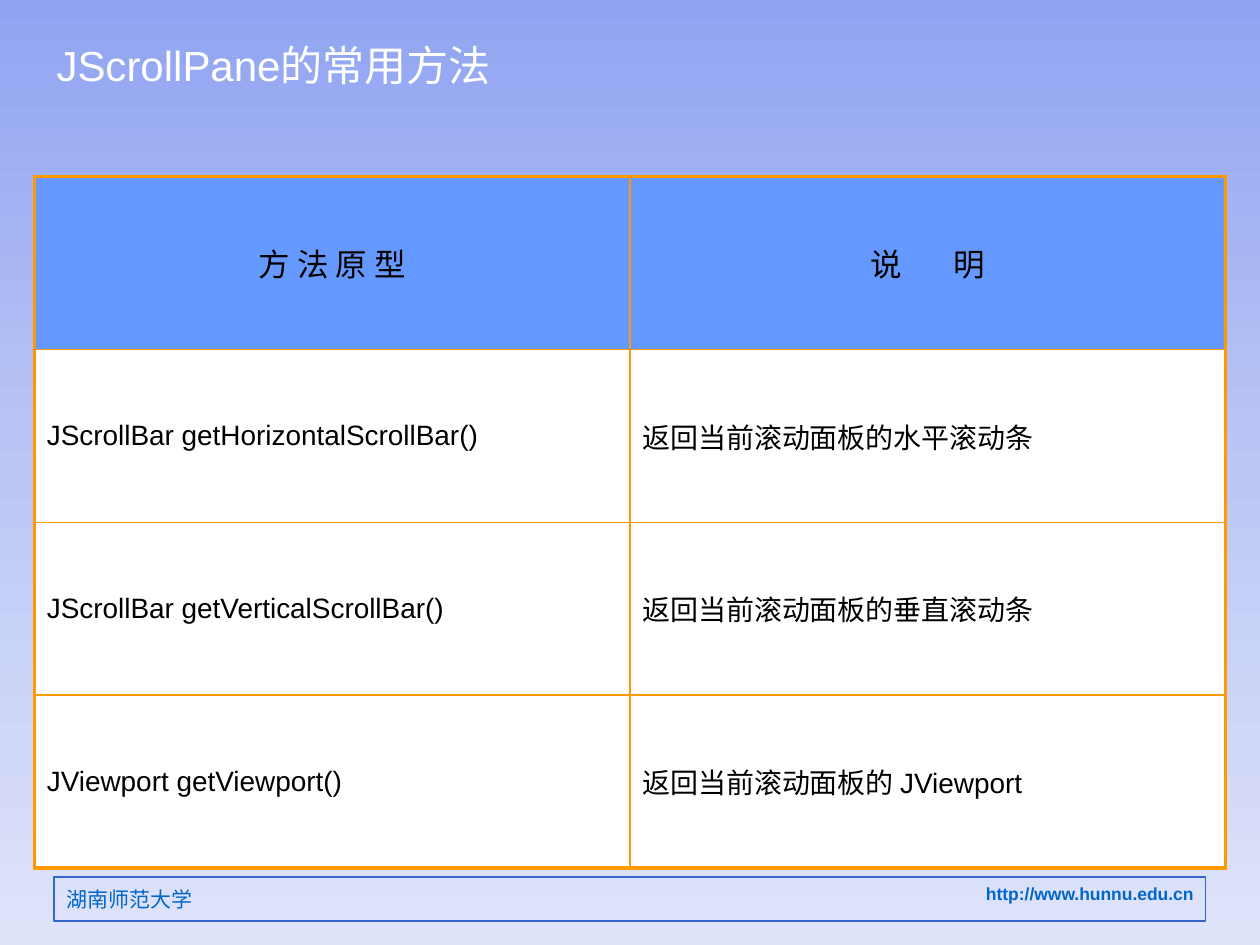
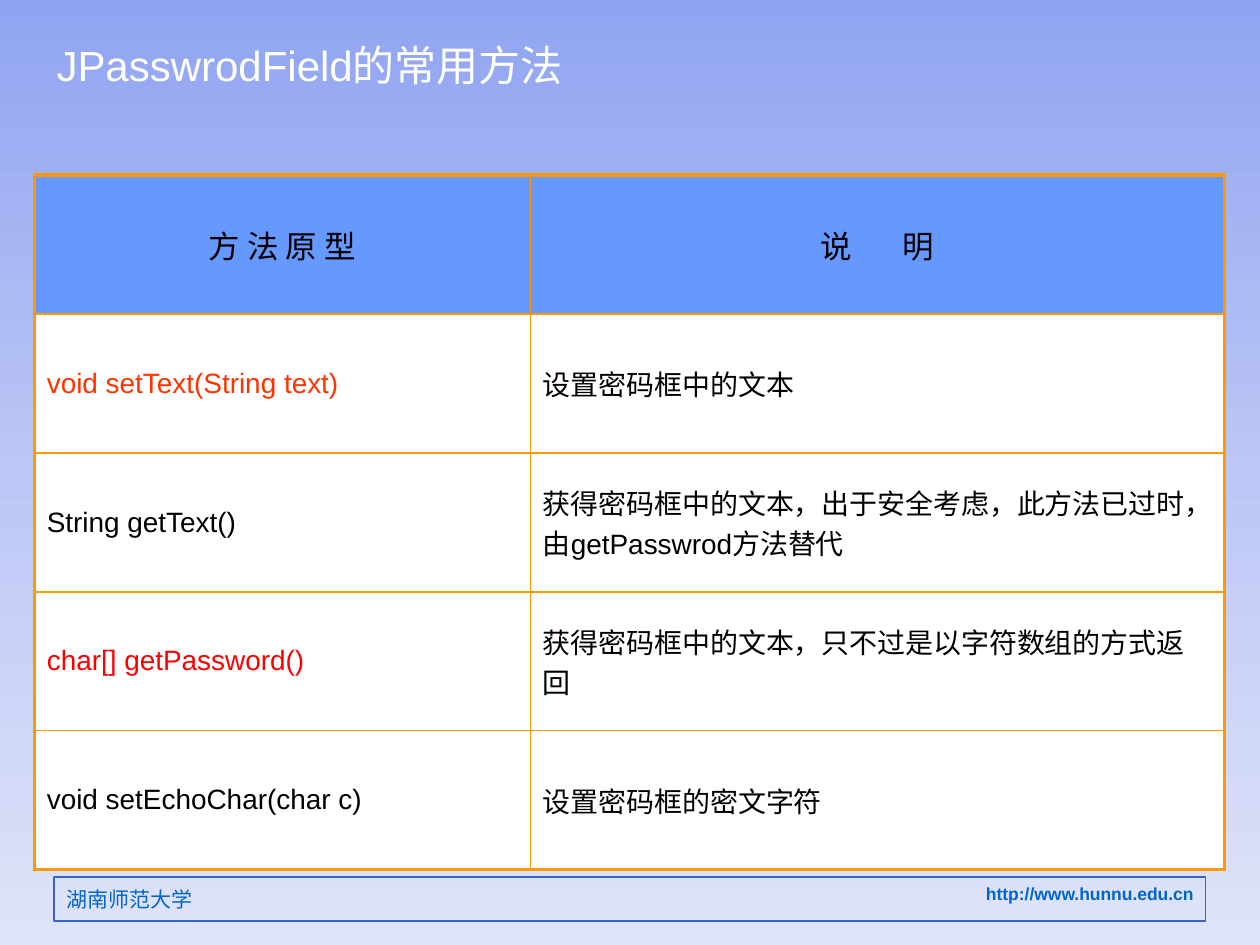
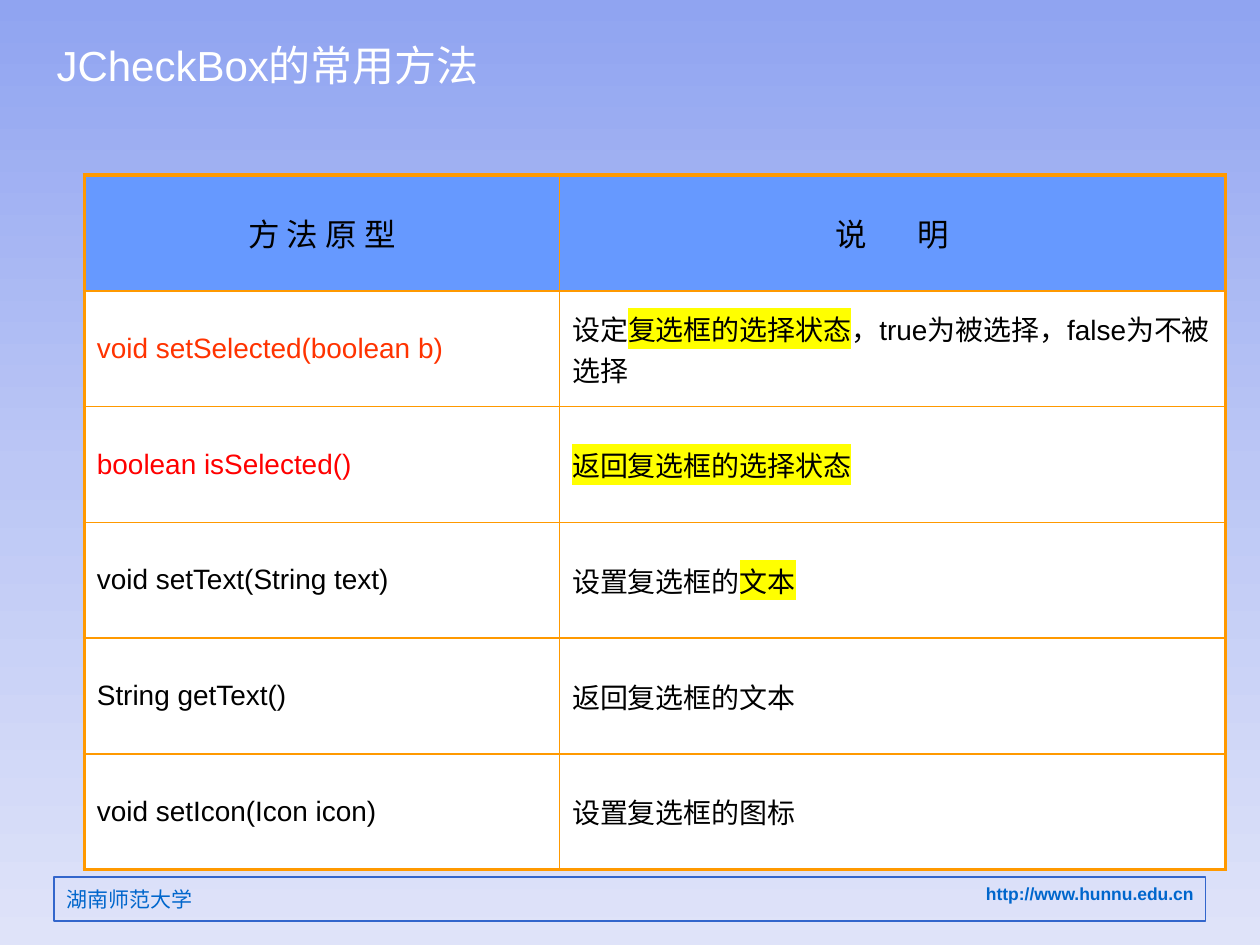
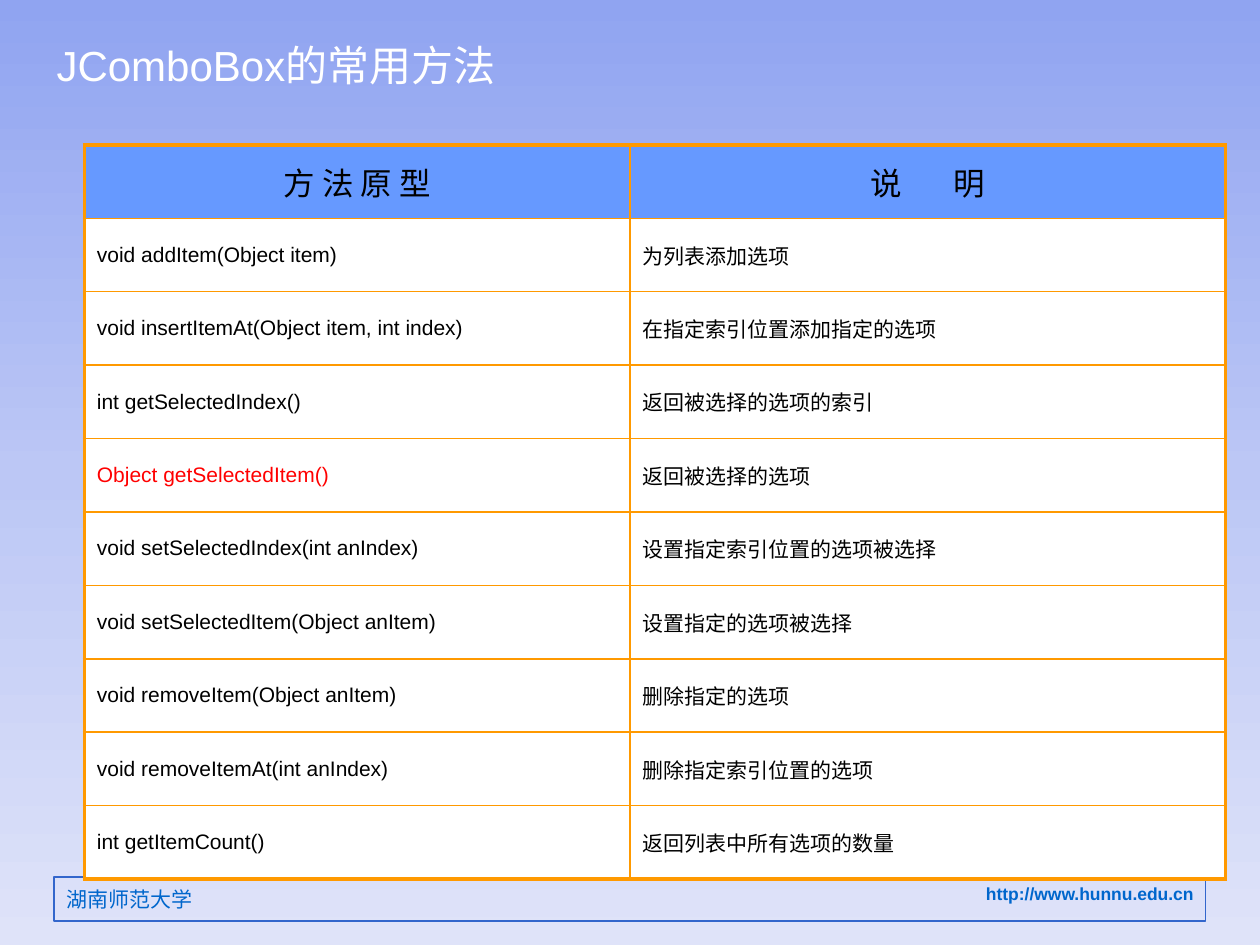
"""Build four slides listing the common methods of Swing components."""
import copy
from dataclasses import dataclass
from typing import Optional

import lxml.etree
import pptx
import pptx.dml.color
import pptx.enum.text
import pptx.oxml.ns
import pptx.presentation
import pptx.shapes.base
import pptx.slide
import pptx.table
import pptx.text.text
import pptx.util
from pptx.enum.shapes import MSO_SHAPE

Cm = pptx.util.Cm
Pt = pptx.util.Pt
RGB = pptx.dml.color.RGBColor
qn = pptx.oxml.ns.qn
ALIGN = pptx.enum.text.PP_ALIGN
ANCHOR = pptx.enum.text.MSO_ANCHOR


@dataclass(frozen=True)
class Theme:
    """Colours, fonts and type sizes shared by all slides."""
    sky: tuple[str, ...] = ("90A4F1", "BCC7F5", "DFE3F9")
    frame: str = "3366CC"
    footer: str = "0066CC"
    title: str = "FFFFFF"
    text: str = "000000"
    orange_red: str = "FF3300"
    red: str = "FF0000"
    highlight: str = "FFFF00"
    grid: str = "FF9900"
    header_fill: str = "6699FF"
    body_fill: str = "FFFFFF"
    latin: str = "Arial"
    cjk: str = "Noto Sans CJK SC"
    title_size: float = 24
    header_size: float = 18
    body_size: float = 16
    dense_size: float = 12
    school_size: float = 12
    address_size: float = 10
    outer_line: float = 2.25
    inner_line: float = 1
    frame_line: float = 0.75


THEME = Theme()


@dataclass(frozen=True)
class Piece:
    """A stretch of text with optional highlight and letter spacing."""
    text: str
    marked: bool = False
    tracking: float = 0


@dataclass(frozen=True)
class Style:
    """Character and paragraph style of one text."""
    size: float
    color: str = THEME.text
    bold: bool = False
    align: pptx.enum.text.PP_ALIGN = ALIGN.LEFT
    latin: str = THEME.latin


@dataclass(frozen=True)
class Method:
    """A method signature with its explanation."""
    signature: str
    meaning: tuple[Piece, ...]
    color: str = THEME.text


@dataclass(frozen=True)
class Topic:
    """One slide: a component and the table of its methods, in centimetres."""
    component: str
    left: float
    top: float
    height: float
    columns: tuple[float, float]
    methods: tuple[Method, ...]
    size: float = THEME.body_size


def method(signature: str, *meaning: str | Piece, color: str = THEME.text) -> Method:
    """Make a method from plain or marked stretches of text."""
    pieces = tuple(part if isinstance(part, Piece) else Piece(part) for part in meaning)
    return Method(signature, pieces, color)


def marked(text: str) -> Piece:
    """Make a highlighted stretch of text."""
    return Piece(text, marked=True)


HEADINGS = ((Piece("方 法 原 型"),), (Piece("说 ", tracking=12.5), Piece("明")))

TOPICS = (
    Topic("JScrollPane", 0.69, 3.56, 13.94, (12.01, 12.01), (
        method("JScrollBar getHorizontalScrollBar()", "返回当前滚动面板的水平滚动条"),
        method("JScrollBar getVerticalScrollBar()", "返回当前滚动面板的垂直滚动条"),
        method("JViewport getViewport()", "返回当前滚动面板的 JViewport"),
    )),
    Topic("JPasswrodField", 0.69, 3.53, 14, (10, 14), (
        method("void setText(String text)", "设置密码框中的文本", color=THEME.orange_red),
        method("String getText()",
               "获得密码框中的文本，出于安全考虑，此方法已过时，由getPasswrod方法替代"),
        method("char[] getPassword()", "获得密码框中的文本，只不过是以字符数组的方式返回",
               color=THEME.red),
        method("void setEchoChar(char c)", "设置密码框的密文字符"),
    )),
    Topic("JCheckBox", 1.7, 3.53, 14, (9.58, 13.42), (
        method("void setSelected(boolean b)", "设定", marked("复选框的选择状态"),
               "，true为被选择，false为不被选择", color=THEME.orange_red),
        method("boolean isSelected()", marked("返回复选框的选择状态"), color=THEME.red),
        method("void setText(String text)", "设置复选框的", marked("文本")),
        method("String getText()", "返回复选框的文本"),
        method("void setIcon(Icon icon)", "设置复选框的图标"),
    )),
    Topic("JComboBox", 1.7, 2.92, 14.8, (11, 12.01), (
        method("void addItem(Object item)", "为列表添加选项"),
        method("void insertItemAt(Object item, int index)", "在指定索引位置添加指定的选项"),
        method("int getSelectedIndex()", "返回被选择的选项的索引"),
        method("Object getSelectedItem()", "返回被选择的选项", color=THEME.red),
        method("void setSelectedIndex(int anIndex)", "设置指定索引位置的选项被选择"),
        method("void setSelectedItem(Object anItem)", "设置指定的选项被选择"),
        method("void removeItem(Object anItem)", "删除指定的选项"),
        method("void removeItemAt(int anIndex)", "删除指定索引位置的选项"),
        method("int getItemCount()", "返回列表中所有选项的数量"),
    ), THEME.dense_size),
)


def add_color(parent: lxml.etree._Element, color: str) -> None:
    """Append an RGB colour to an XML element."""
    lxml.etree.SubElement(parent, qn("a:srgbClr"), val=color)


def write(frame: pptx.text.text.TextFrame, pieces: tuple[Piece, ...], style: Style) -> None:
    """Write styled pieces as the only paragraph of a frame."""
    paragraph = frame.paragraphs[0]
    paragraph.alignment = style.align
    for piece in pieces:
        run = paragraph.add_run()
        run.text = piece.text
        font = run.font
        font.size = Pt(style.size)
        font.bold = style.bold
        font.color.rgb = RGB.from_string(style.color)
        properties = run._r.get_or_add_rPr()
        if piece.tracking:
            properties.set("spc", str(int(piece.tracking * 100)))
        if piece.marked:
            add_color(lxml.etree.SubElement(properties, qn("a:highlight")), THEME.highlight)
        font.name = style.latin
        lxml.etree.SubElement(properties, qn("a:ea"), typeface=THEME.cjk)


def add_label(slide: pptx.slide.Slide, text: str, box: tuple[float, ...], style: Style,
              anchor: Optional[pptx.enum.text.MSO_ANCHOR] = ANCHOR.TOP) -> None:
    """Add a wrapped text box given in centimetres."""
    frame = slide.shapes.add_textbox(*map(Cm, box)).text_frame
    frame.word_wrap = True
    frame.vertical_anchor = anchor
    write(frame, (Piece(text),), style)


def add_footer(slide: pptx.slide.Slide) -> None:
    """Add the framed footer with address and school."""
    band = slide.shapes.add_shape(MSO_SHAPE.RECTANGLE, Cm(1.09), Cm(17.68), Cm(23.22), Cm(0.89))
    band.shadow.inherit = False
    band.fill.background()
    band.line.color.rgb = RGB.from_string(THEME.frame)
    band.line.width = Pt(THEME.frame_line)
    band.text_frame.vertical_anchor = ANCHOR.TOP
    write(band.text_frame, (Piece("http://www.hunnu.edu.cn"),),
          Style(THEME.address_size, THEME.footer, bold=True, align=ALIGN.RIGHT))
    add_label(slide, "湖南师范大学", (1.09, 17.75, 10, 0.76),
              Style(THEME.school_size, THEME.footer, latin=THEME.cjk))


def add_borders(cell: pptx.table._Cell, outer: dict[str, bool]) -> None:
    """Draw the four borders of a cell, thicker on outer sides."""
    properties = cell._tc.get_or_add_tcPr()
    for side, is_outer in outer.items():
        width = Pt(THEME.outer_line if is_outer else THEME.inner_line)
        line = lxml.etree.SubElement(properties, qn(f"a:ln{side}"), w=str(int(width)))
        add_color(lxml.etree.SubElement(line, qn("a:solidFill")), THEME.grid)


def add_methods(slide: pptx.slide.Slide, topic: Topic) -> None:
    """Add the table of methods."""
    header = Style(THEME.header_size, align=ALIGN.CENTER)
    body = Style(topic.size)
    rows = [tuple((heading, header) for heading in HEADINGS)]
    for entry in topic.methods:
        signature = (Piece(entry.signature),)
        rows.append(((signature, Style(topic.size, entry.color)), (entry.meaning, body)))

    table = slide.shapes.add_table(len(rows), len(topic.columns), Cm(topic.left), Cm(topic.top),
                                   Cm(sum(topic.columns)), Cm(topic.height)).table
    table.horz_banding = False
    for column, width in zip(table.columns, topic.columns):
        column.width = Cm(width)
    last_row, last_column = len(rows) - 1, len(topic.columns) - 1
    for r, row in enumerate(rows):
        for c, (pieces, style) in enumerate(row):
            cell = table.cell(r, c)
            cell.vertical_anchor = ANCHOR.MIDDLE
            add_borders(cell, {"L": c == 0, "R": c == last_column,
                               "T": r == 0, "B": r == last_row})
            cell.fill.solid()
            fill = THEME.body_fill if r else THEME.header_fill
            cell.fill.fore_color.rgb = RGB.from_string(fill)
            write(cell.text_frame, pieces, style)


def paint_background(master: pptx.slide.SlideMaster) -> None:
    """Give every slide the vertical sky gradient."""
    fill = master.background.fill
    fill.gradient()
    fill.gradient_angle = 270
    stops = master.element.find(f".//{qn('a:gsLst')}")
    stops.append(copy.deepcopy(stops[0]))
    for index, (stop, color) in enumerate(zip(fill.gradient_stops, THEME.sky)):
        stop.position = index / (len(THEME.sky) - 1)
        stop.color.rgb = RGB.from_string(color)


def add_topic(deck: pptx.presentation.Presentation, topic: Topic) -> None:
    """Add the slide of one component."""
    slide = deck.slides.add_slide(deck.slide_layouts[6])
    add_footer(slide)
    add_label(slide, f"{topic.component}的常用方法", (0.89, 0.53, 14.02, 1.55),
              Style(THEME.title_size, THEME.title), ANCHOR.MIDDLE)
    add_methods(slide, topic)


def main() -> None:
    """Build and save the deck."""
    deck = pptx.Presentation()
    deck.slide_width, deck.slide_height = Cm(25.4), Cm(19.05)
    paint_background(deck.slide_master)
    for topic in TOPICS:
        add_topic(deck, topic)
    deck.save("out.pptx")


if __name__ == "__main__":
    main()
